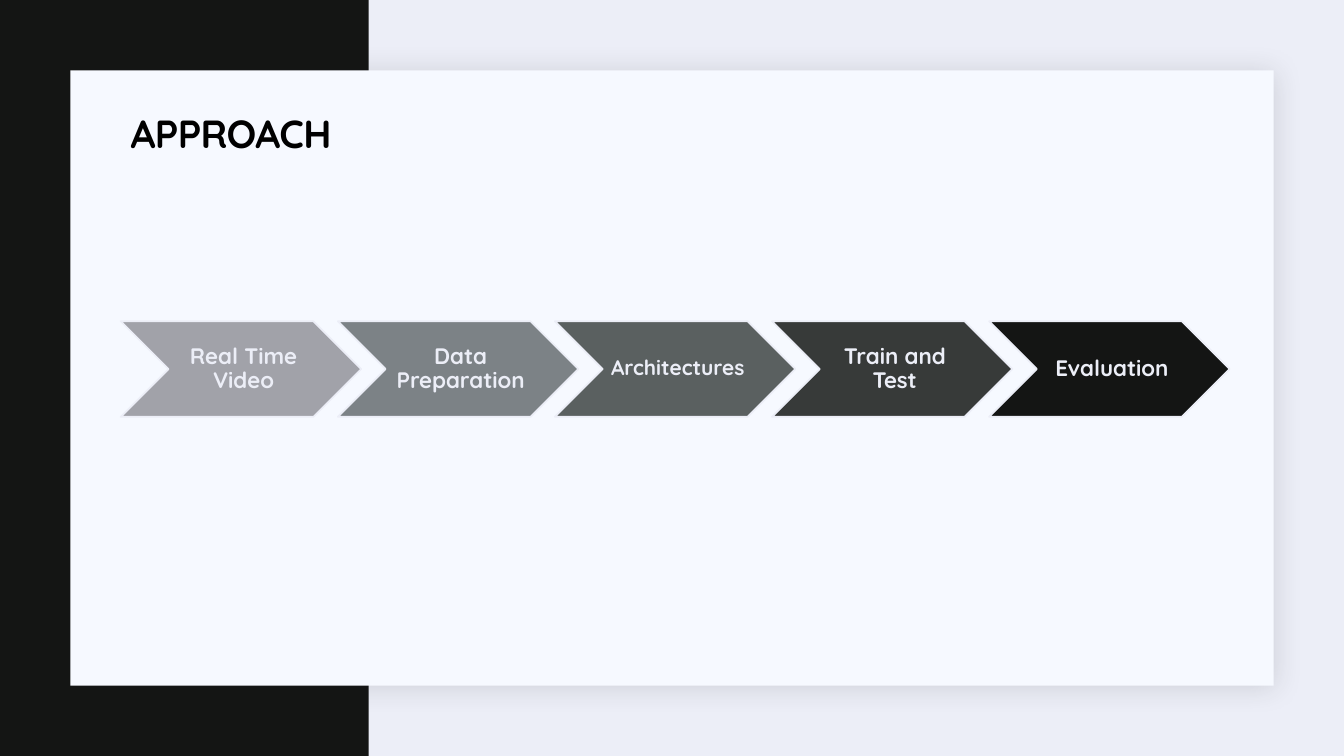
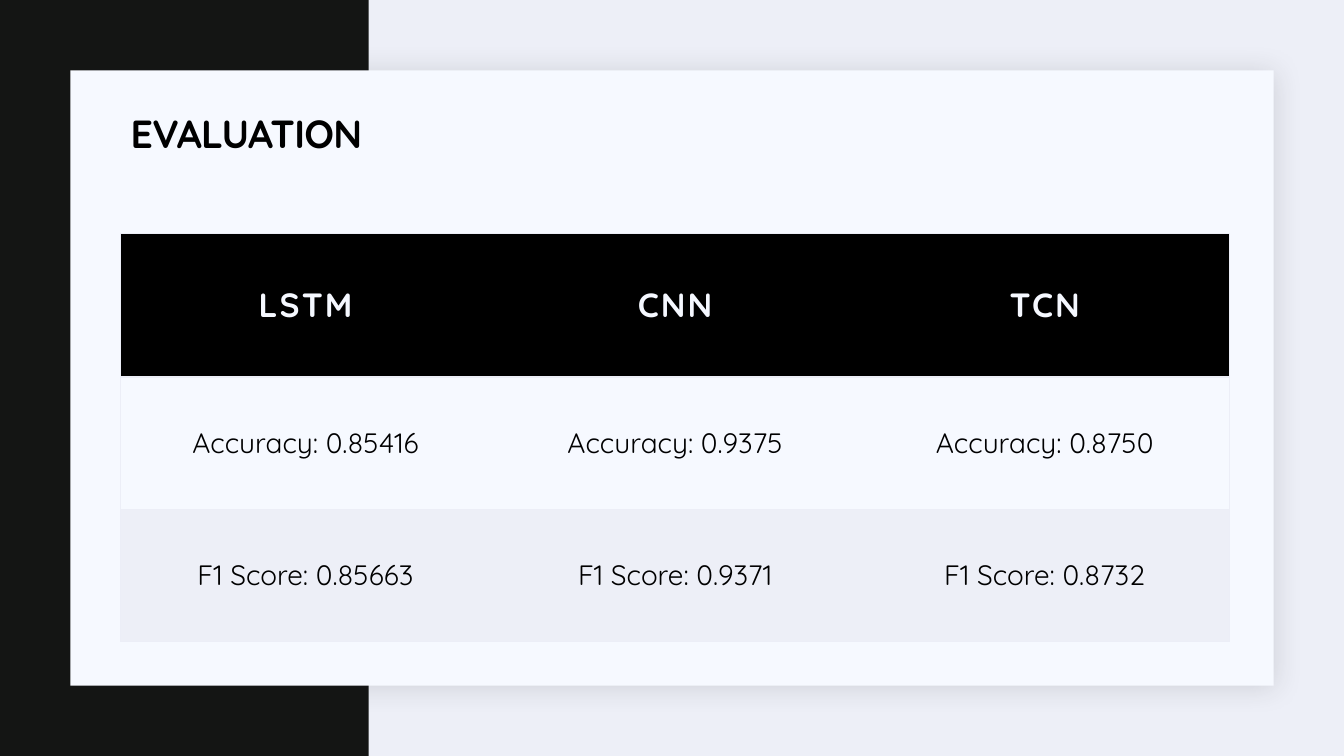
from lxml import etree
from pptx import Presentation
from pptx import util as u
from pptx.dml.color import RGBColor
from pptx.enum import shapes, text
from pptx.oxml import parse_xml
from pptx.oxml.ns import nsdecls, qn

PX = 9525
INK, CARD, PALE, BLACK = "141514", "F6F9FF", "ECEEF7", "000000"
SOFT = "EDEFF7"
LEFT, WIDE = 115, 1056
MID, CENTRE = text.MSO_ANCHOR.MIDDLE, text.PP_ALIGN.CENTER


def paint(fill, tone):
    fill.solid()
    fill.fore_color.rgb = RGBColor.from_string(tone)


def write(frame, words, size, tone, bold=True, gap=0, **para):
    frame.word_wrap = True
    line = frame.paragraphs[0]
    for key, val in para.items():
        setattr(line, key, val)
    run = line.add_run()
    run.text = words
    look = {"name": "Quicksand", "size": u.Pt(size), "bold": bold}
    for key, val in look.items():
        setattr(run.font, key, val)
    paint(run.font.fill, tone)
    if gap:
        run.font._element.set("spc", str(gap))


deck = Presentation()
deck.slide_width, deck.slide_height = 1280 * PX, 720 * PX

# Shared backdrop, card and title
pages = []
for name, back in (("APPROACH", PALE), ("EVALUATION", SOFT)):
    page = deck.slides.add_slide(deck.slide_layouts[6])
    paint(page.background.fill, back)
    for box, tone in (((0, 0, 351, 720), INK), ((67, 67, 1146, 586), CARD)):
        panel = page.shapes.add_shape(
            shapes.MSO_SHAPE.RECTANGLE, *[n * PX for n in box])
        panel.shadow.inherit = False
        paint(panel.fill, tone)
        panel.line.fill.background()

    # Soft shadow under the card, the last panel
    glow = panel._element.spPr.find(qn("a:effectLst"))
    glow.append(parse_xml(
        f'<a:outerShdw {nsdecls("a")} blurRad="254000" dist="25400" '
        'dir="2700000" algn="ctr" rotWithShape="0"><a:srgbClr val="1F2125">'
        '<a:alpha val="15000"/></a:srgbClr></a:outerShdw>'))

    title = page.shapes.add_textbox(LEFT * PX, 99 * PX, WIDE * PX, 61 * PX)
    title.text_frame.vertical_anchor = MID
    write(title.text_frame, name, 28, BLACK, gap=-50, line_spacing=0.9)
    pages.append(page)
first, second = pages

# Process chevrons
steps = [
    ("Real Time Video", "A1A2A9", 16),
    ("Data Preparation", "7C8286", 16),
    ("Architectures", "5A6060", 15),
    ("Train and Test", "373A39", 16),
    ("Evaluation", INK, 16),
]
span, tall = 229, 91
pitch = (WIDE - span) / (len(steps) - 1)
for i, (words, tone, size) in enumerate(steps):
    step = first.shapes.add_shape(
        shapes.MSO_SHAPE.CHEVRON, round((LEFT + i * pitch) * PX), 306 * PX,
        span * PX, tall * PX)
    step.shadow.inherit = False
    paint(step.fill, tone)
    paint(step.line.fill, PALE)
    step.line.width = u.Pt(1.25)
    frame = step.text_frame
    inset = {"margin_left": 7, "margin_top": 2,
             "margin_right": 2, "margin_bottom": 2}
    for key, val in inset.items():
        setattr(frame, key, val * PX)
    frame.vertical_anchor = MID
    write(frame, words, size, PALE, alignment=CENTRE, line_spacing=0.9)

# Score table
rows = [
    ("LSTM", "CNN", "TCN"),
    ("Accuracy: 0.85416", "Accuracy: 0.9375", "Accuracy: 0.8750"),
    ("F1 Score: 0.85663", "F1 Score: 0.9371", "F1 Score: 0.8732"),
]
highs, fills = (137, 126, 126), (BLACK, CARD, SOFT)
head = {"size": 24, "tone": "F5F8FF", "gap": 150}
body = {"size": 20, "tone": BLACK, "bold": False}
grid = second.shapes.add_table(
    3, 3, LEFT * PX, 222 * PX, WIDE * PX, sum(highs) * PX).table
for r, row in enumerate(rows):
    grid.rows[r].height = highs[r] * PX
    for c, words in enumerate(row):
        cell = grid.cell(r, c)
        cell.vertical_anchor = MID
        for side in ("left", "top", "right", "bottom"):
            setattr(cell, f"margin_{side}", 24 * PX)

        # Outer sides and row rules only
        drawn = {"lnL": c == 0, "lnR": c == 2, "lnT": True, "lnB": True}
        for tag, on in drawn.items():
            edge = etree.SubElement(
                cell._tc.get_or_add_tcPr(), qn(f"a:{tag}"), w="12700")
            kind = "solidFill" if on else "noFill"
            ink = etree.SubElement(edge, qn(f"a:{kind}"))
            if on:
                etree.SubElement(ink, qn("a:srgbClr"), val=PALE)
        paint(cell.fill, fills[r])
        write(cell.text_frame, words, alignment=CENTRE,
              **(body if r else head))

deck.save("out.pptx")
